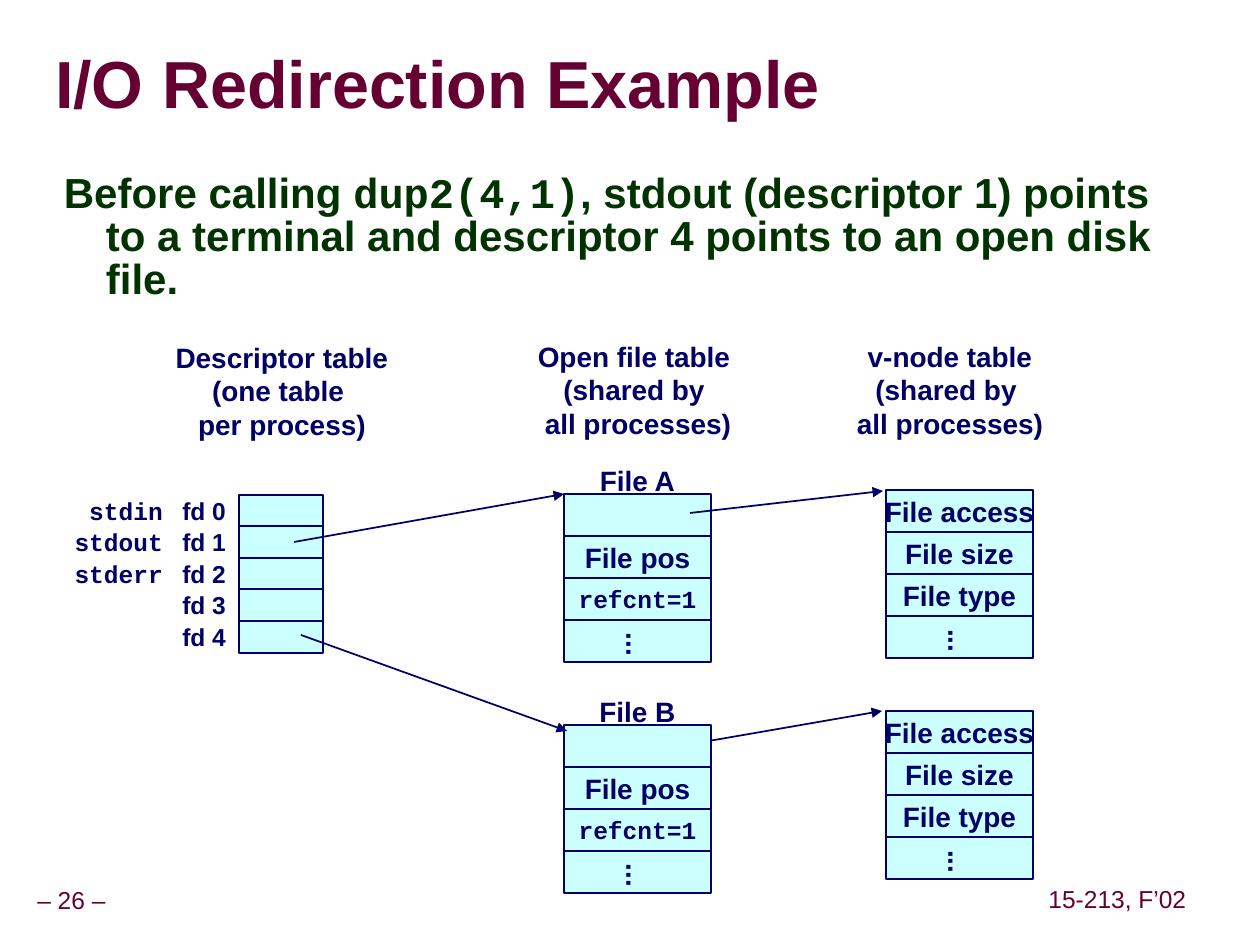
from lxml.etree import SubElement
from pptx import Presentation
from pptx.dml.color import RGBColor
from pptx.enum.shapes import MSO_CONNECTOR, MSO_SHAPE
from pptx.enum.text import MSO_ANCHOR, MSO_AUTO_SIZE, PP_ALIGN
from pptx.oxml import parse_xml
from pptx.oxml.ns import nsdecls, qn
from pptx.util import Pt

PX = 914400 / 126
COLORS = {"title": "660033", "body": "003300", "ink": "000066", "cell": "CCFFFF"}
SANS, MONO = "Arial", "Courier New"
LEFT, CENTER, RIGHT = PP_ALIGN.LEFT, PP_ALIGN.CENTER, PP_ALIGN.RIGHT
LABEL = {"size": Pt(16), "name": SANS, "bold": True}
SMALL = {**LABEL, "size": Pt(14)}
CODE = {**SMALL, "name": MONO}
FOOTER = {**SMALL, "bold": False}
CELL_WIDTH, CELL_HEIGHT = 147, 42
DOTS = "..."
SHADOW = (
    f'<a:effectLst {nsdecls("a")}><a:outerShdw dist="38100" dir="2700000">'
    '<a:srgbClr val="969696"/></a:outerShdw></a:effectLst>'
)


def emu(*lengths):
    """Turn px lengths into EMU."""
    return [round(length * PX) for length in lengths]


def rgb(name):
    """Look up a named colour."""
    return RGBColor.from_string(COLORS[name])


def apply(target, values):
    """Set attributes from a dict of values."""
    for name, value in values.items():
        setattr(target, name, value)


def set_frame(frame, wrap=False, anchor=MSO_ANCHOR.MIDDLE, across=13, along=6):
    """Set wrapping, anchor and margins of a text frame."""
    across, along = emu(across, along)
    apply(frame, {
        "auto_size": MSO_AUTO_SIZE.NONE, "word_wrap": wrap, "vertical_anchor": anchor,
        "margin_left": across, "margin_right": across,
        "margin_top": along, "margin_bottom": along,
    })


def add_span(para, text, style, color="ink"):
    """Add a formatted run to a paragraph."""
    span = para.add_run()
    span.text = text
    apply(span.font, style)
    span.font.color.rgb = rgb(color)
    return span


def write_lines(frame, lines, style, align=CENTER, color="ink", spacing=1.0):
    """Write one paragraph for each line."""
    for index, line in enumerate(lines):
        para = frame.add_paragraph() if index else frame.paragraphs[0]
        apply(para, {"alignment": align, "line_spacing": spacing})
        add_span(para, line, style, color)


def add_text(page, place, lines, style, **layout):
    """Add an unwrapped text box."""
    frame = page.shapes.add_textbox(*emu(*place)).text_frame
    set_frame(frame)
    write_lines(frame, lines, style, **layout)


def add_cell(page, place, text="", style=LABEL):
    """Add one table cell, with dots set vertically."""
    box = page.shapes.add_shape(MSO_SHAPE.RECTANGLE, *emu(*place))
    box.shadow.inherit = False
    box.fill.solid()
    box.fill.fore_color.rgb = rgb("cell")
    box.line.color.rgb = rgb("ink")
    box.line.width = Pt(1)
    if text:
        frame = box.text_frame
        if text == DOTS:
            set_frame(frame, across=6, along=13)
            frame._txBody.bodyPr.set("vert", "eaVert")
        else:
            set_frame(frame)
        write_lines(frame, [text], style)


def add_stack(page, left, top, rows):
    """Stack cells downwards from a corner."""
    for index, (text, style) in enumerate(rows):
        add_cell(page, (left, top + index * CELL_HEIGHT, CELL_WIDTH, CELL_HEIGHT), text, style)


def add_arrow(page, *ends):
    """Add a line with a triangle at its end."""
    arrow = page.shapes.add_connector(MSO_CONNECTOR.STRAIGHT, *emu(*ends))
    arrow.line.color.rgb = rgb("ink")
    arrow.line.width = Pt(1)
    SubElement(arrow.line._get_or_add_ln(), qn("a:tailEnd"), type="triangle")
    SubElement(arrow._element.spPr, qn("a:effectLst"))


def add_title(page, text):
    """Format the title placeholder and shade its text."""
    title = page.shapes.title
    apply(title, dict(zip(("left", "top", "width", "height"), emu(55, 34, 1201, 107))))
    set_frame(title.text_frame, wrap=True, across=0, along=0)
    para = title.text_frame.paragraphs[0]
    apply(para, {"alignment": LEFT, "line_spacing": 0.87})
    span = add_span(para, text, {**LABEL, "size": Pt(38)}, "title")
    span._r.rPr.find(qn("a:solidFill")).addnext(parse_xml(SHADOW))


def add_body(page):
    """Add the hanging paragraph under the title."""
    frame = page.shapes.add_textbox(*emu(40, 168, 1145, 146)).text_frame
    set_frame(frame, wrap=True, anchor=MSO_ANCHOR.TOP)
    para = frame.paragraphs[0]
    apply(para, {"alignment": LEFT, "line_spacing": 0.85})
    margin, indent = emu(53, -42)
    para._p.get_or_add_pPr().set("marL", str(margin))
    para._p.get_or_add_pPr().set("indent", str(indent))
    spans = [
        ("Before calling ", SANS),
        ("dup2(4,1)", MONO),
        (", stdout (descriptor 1) points to a terminal and descriptor 4 "
         "points to an open disk file.", SANS),
    ]
    for text, font in spans:
        add_span(para, text, {"size": Pt(24), "name": font, "bold": True}, "body")


def add_descriptors(page):
    """Add the descriptor table with its labels."""
    for row, stream in enumerate(["stdin", "stdout", "stderr", "", ""]):
        top = 495 + 63 * row // 2
        add_cell(page, (239, top, 84, 32))
        add_text(page, (155, top, 84, 32), [f"fd {row}"], SMALL, align=RIGHT)
        if stream:
            add_text(page, (63, top - 6, 113, 43), [stream], CODE, align=RIGHT)


def main():
    """Build the slide and save it."""
    deck = Presentation()
    deck.slide_width, deck.slide_height = emu(1260, 945)
    page = deck.slides.add_slide(deck.slide_layouts[5])
    add_title(page, "I/O Redirection Example")
    add_body(page)

    headings = [
        ((163, 334, 238, 113), ["Descriptor table", "(one table ", "per process)"]),
        ((525, 333, 226, 113), ["Open file table ", "(shared by ", "all processes)"]),
        ((844, 333, 212, 113), ["v-node table", "(shared by ", "all processes)"]),
    ]
    for place, lines in headings:
        add_text(page, place, lines, LABEL)

    add_descriptors(page)
    add_arrow(page, 680, 746, 882, 711)
    file_rows = [("", LABEL), ("File pos", LABEL), ("refcnt=1", CODE), (DOTS, LABEL)]
    node_rows = [(text, LABEL) for text in ("File access", "File size", "File type", DOTS)]
    for name, file_top, node_top in [("File A", 494, 490), ("File B", 725, 711)]:
        add_stack(page, 564, file_top, file_rows)
        add_stack(page, 886, node_top, node_rows)
        add_text(page, (587, file_top - 37, 101, 47), [name], LABEL)
    for ends in [(294, 542, 564, 494), (301, 635, 567, 731), (690, 513, 883, 491)]:
        add_arrow(page, *ends)

    for place, text in [((-11, 882, 165, 39), "– 26 –"), ((1042, 881, 151, 39), "15-213, F’02")]:
        add_text(page, place, [text], FOOTER, color="title", spacing=0.9)
    deck.save("out.pptx")


if __name__ == "__main__":
    main()
